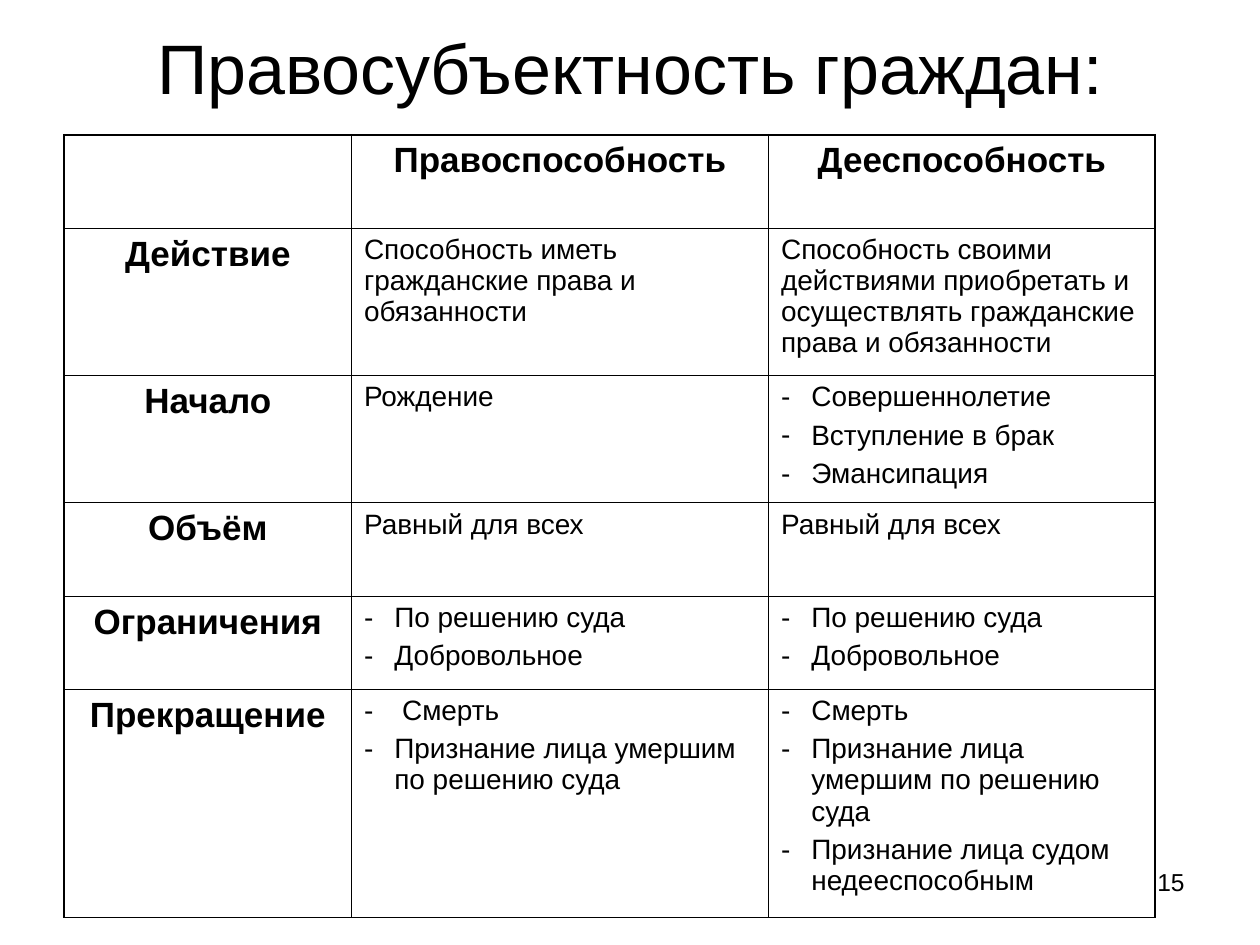
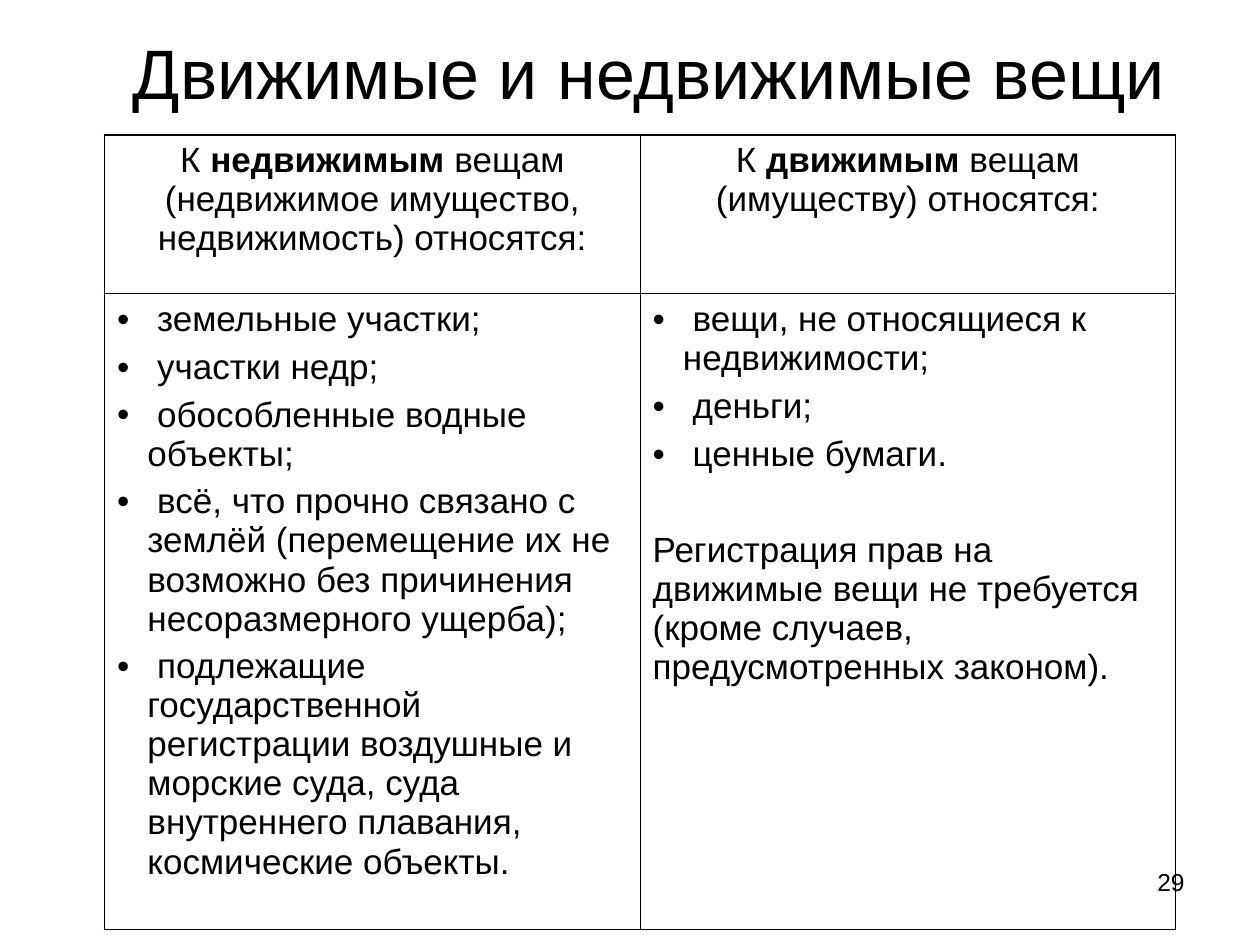
from dataclasses import dataclass

import pptx
import pptx.dml.color
import pptx.enum.text
import pptx.oxml
import pptx.oxml.ns
import pptx.util
from pptx.util import Inches

FONT = "Arial"
INK = "000000"
OUTER_LINE = 1.08
INNER_LINE = 0.45
HANGING_INDENT = Inches(0.24)
ALIGN = pptx.enum.text.PP_ALIGN
MIDDLE = pptx.enum.text.MSO_ANCHOR.MIDDLE


@dataclass(frozen=True)
class Line:
    text: str
    size: float = 16
    bold: bool = False
    centered: bool = False
    bullet: str = ""
    emphasis: str = ""
    space_before: float = 4


@dataclass(frozen=True)
class ComparisonSlide:
    title: str
    title_left: float
    title_height: float
    number: str
    table_left: float
    columns: list[float]
    rows: list[float]
    cells: list[list[list[Line]]]


def heading(text: str) -> list[Line]:
    return [Line(text, size=20, bold=True, centered=True)]


def intro(text: str, emphasis: str) -> list[Line]:
    return [Line(text, size=20, centered=True, emphasis=emphasis)]


def plain(text: str) -> list[Line]:
    return [Line(text)]


def dashes(*texts: str) -> list[Line]:
    return [Line(text, bullet="-") for text in texts]


def dots(*texts: str) -> list[Line]:
    return [Line(text, size=20, bullet="•", space_before=5) for text in texts]


CAPACITY = ComparisonSlide(
    title="Правосубъектность граждан:",
    title_left=0.75,
    title_height=0.64,
    number="15",
    table_left=0.51,
    columns=[2.28, 3.31, 3.07],
    rows=[0.74, 1.17, 1.01, 0.74, 0.74, 1.54],
    cells=[
        [[], heading("Правоспособность"), heading("Дееспособность")],
        [
            heading("Действие"),
            plain("Способность иметь гражданские права и обязанности"),
            plain("Способность своими действиями приобретать и осуществлять "
                  "гражданские права и обязанности"),
        ],
        [
            heading("Начало"),
            plain("Рождение"),
            dashes("Совершеннолетие", "Вступление в брак", "Эмансипация"),
        ],
        [heading("Объём"), plain("Равный для всех"), plain("Равный для всех")],
        [
            heading("Ограничения"),
            dashes("По решению суда", "Добровольное"),
            dashes("По решению суда", "Добровольное"),
        ],
        [
            heading("Прекращение"),
            dashes(" Смерть", "Признание лица умершим по решению суда"),
            dashes("Смерть", "Признание лица умершим по решению суда",
                   "Признание лица судом недееспособным"),
        ],
    ],
)

PROPERTY = ComparisonSlide(
    title="Движимые и недвижимые вещи",
    title_left=0.9,
    title_height=0.72,
    number="29",
    table_left=0.83,
    columns=[4.25, 4.25],
    rows=[1.26, 4.71],
    cells=[
        [
            intro("К недвижимым вещам (недвижимое имущество, недвижимость) относятся:",
                  "недвижимым"),
            intro("К движимым вещам (имуществу) относятся:", "движимым"),
        ],
        [
            dots(
                " земельные участки;",
                " участки недр;",
                " обособленные водные объекты;",
                " всё, что прочно связано с землёй (перемещение их не возможно "
                "без причинения несоразмерного ущерба);",
                " подлежащие государственной регистрации воздушные и морские суда, "
                "суда внутреннего плавания, космические объекты.",
            ),
            dots(" вещи, не относящиеся к недвижимости;", " деньги;", " ценные бумаги.")
            + [Line("Регистрация прав на движимые вещи не требуется "
                    "(кроме случаев, предусмотренных законом).",
                    size=20, space_before=32.5)],
        ],
    ],
)


def color(value: str) -> pptx.dml.color.RGBColor:
    return pptx.dml.color.RGBColor.from_string(value)


def set_font(font: pptx.text.text.Font, size: float) -> None:
    font.name = FONT
    font.size = pptx.util.Pt(size)
    font.color.rgb = color(INK)


def add_bullet(paragraph: pptx.text.text._Paragraph, mark: str) -> None:
    properties = paragraph._p.get_or_add_pPr()
    properties.set("marL", str(HANGING_INDENT))
    properties.set("indent", str(-HANGING_INDENT))
    namespace = pptx.oxml.ns.nsdecls("a")
    for xml in (
        f'<a:buClr {namespace}><a:srgbClr val="{INK}"/></a:buClr>',
        f'<a:buFont {namespace} typeface="{FONT}"/>',
        f'<a:buChar {namespace} char="{mark}"/>',
    ):
        properties.append(pptx.oxml.parse_xml(xml))


def write_lines(frame: pptx.text.text.TextFrame, lines: list[Line]) -> None:
    for index, line in enumerate(lines):
        paragraph = frame.add_paragraph() if index else frame.paragraphs[0]
        paragraph.alignment = ALIGN.CENTER if line.centered else ALIGN.LEFT
        if index:
            paragraph.space_before = pptx.util.Pt(line.space_before)
        if line.bullet:
            add_bullet(paragraph, line.bullet)
        set_font(paragraph.font, line.size)
        if line.emphasis:
            for part in line.text.partition(line.emphasis):
                run = paragraph.add_run()
                run.text = part
                run.font.bold = part == line.emphasis
        else:
            paragraph.add_run().text = line.text
            paragraph.font.bold = line.bold


def set_borders(cell: pptx.table._Cell, outer_sides: dict[str, bool]) -> None:
    properties = cell._tc.get_or_add_tcPr()
    for side, is_outer in outer_sides.items():
        width = pptx.util.Pt(OUTER_LINE if is_outer else INNER_LINE)
        properties.append(pptx.oxml.parse_xml(
            f'<a:ln{side} {pptx.oxml.ns.nsdecls("a")} w="{width}"><a:solidFill>'
            f'<a:srgbClr val="{INK}"/></a:solidFill></a:ln{side}>'))


def add_comparison(slide: pptx.slide.Slide, content: ComparisonSlide) -> None:
    row_count, column_count = len(content.rows), len(content.columns)
    table = slide.shapes.add_table(
        row_count, column_count, Inches(content.table_left), Inches(1.07),
        Inches(sum(content.columns)), Inches(sum(content.rows))).table
    table.first_row = False
    table.horz_banding = False
    for column, width in zip(table.columns, content.columns):
        column.width = Inches(width)
    for row, height in zip(table.rows, content.rows):
        row.height = Inches(height)
    for row_index, row_lines in enumerate(content.cells):
        for column_index, lines in enumerate(row_lines):
            cell = table.cell(row_index, column_index)
            set_borders(cell, {
                "L": column_index == 0,
                "R": column_index == column_count - 1,
                "T": row_index == 0,
                "B": row_index == row_count - 1,
            })
            cell.fill.background()
            write_lines(cell.text_frame, lines)


def add_title(slide: pptx.slide.Slide, content: ComparisonSlide) -> None:
    title = slide.shapes.title
    title.left, title.top = Inches(content.title_left), Inches(0.21)
    title.width, title.height = Inches(8.5), Inches(content.title_height)
    frame = title.text_frame
    frame.text = content.title
    frame.auto_size = pptx.enum.text.MSO_AUTO_SIZE.NONE
    frame.vertical_anchor = MIDDLE
    frame.paragraphs[0].alignment = ALIGN.CENTER
    set_font(frame.paragraphs[0].font, 40)


def add_page_number(slide: pptx.slide.Slide, number: str) -> None:
    frame = slide.shapes.add_textbox(
        Inches(7.17), Inches(6.83), Inches(2.33), Inches(0.52)).text_frame
    frame.word_wrap = True
    frame.text = number
    frame.paragraphs[0].alignment = ALIGN.RIGHT
    set_font(frame.paragraphs[0].font, 14)


def main() -> None:
    presentation = pptx.Presentation()
    presentation.slide_width = Inches(10)
    presentation.slide_height = Inches(7.5)
    title_only = presentation.slide_layouts[5]
    for content in (CAPACITY, PROPERTY):
        slide = presentation.slides.add_slide(title_only)
        add_page_number(slide, content.number)
        add_title(slide, content)
        add_comparison(slide, content)
    presentation.save("out.pptx")


if __name__ == "__main__":
    main()
